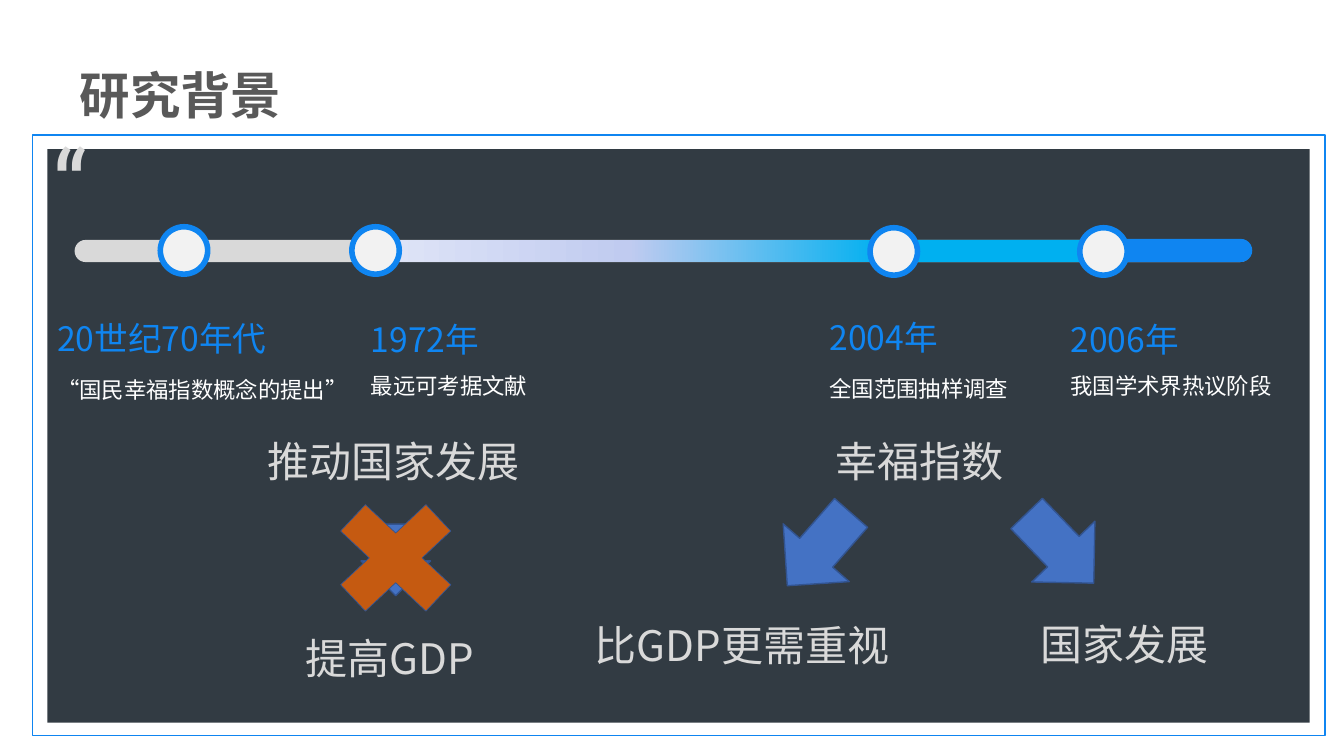
from copy import deepcopy

from pptx import Presentation
from pptx.dml.color import RGBColor
from pptx.enum.shapes import MSO_SHAPE
from pptx.enum.text import MSO_ANCHOR, MSO_AUTO_SIZE, PP_ALIGN
from pptx.oxml.ns import qn
from pptx.util import Inches, Pt

COLORS = {
    "panel": "323B43", "blue": "0F85F1", "cyan": "00B0F0", "grey": "D9D9D9",
    "dot": "F2F2F2", "title": "595959", "white": "FFFFFF", "arrow": "4472C4",
    "edge": "325491", "cross": "C55A11", "pale": "E0E5F7", "lilac": "C0CBF0",
}
CJK = "Noto Sans CJK SC"
LATIN = "Roboto Condensed"


def rgb(name):
    return RGBColor.from_string(COLORS[name])


def add_shape(page, kind, box, fill=None, line=None, weight=1, rotation=0):
    shape = page.shapes.add_shape(kind, *map(Inches, box))
    shape.shadow.inherit = False
    shape.rotation = rotation
    if fill:
        shape.fill.solid()
        shape.fill.fore_color.rgb = rgb(fill)
    else:
        shape.fill.background()
    if line:
        shape.line.color.rgb = rgb(line)
        shape.line.width = Pt(weight)
    else:
        shape.line.fill.background()
    return shape


def write_line(para, text, size, color, face=CJK, bold=False, **spacing):
    for name, value in spacing.items():
        setattr(para, name, value)
    span = para.add_run()
    span.text = text
    formats = {"size": Pt(size), "name": face, "bold": bold}
    for name, value in formats.items():
        setattr(span.font, name, value)
    span.font.color.rgb = rgb(color)
    # East Asian characters take the same face
    east_asian = deepcopy(span.font._element.find(qn("a:latin")))
    east_asian.tag = qn("a:ea")
    span.font._element.append(east_asian)


def set_frame(frame, margins=(0.1, 0.05)):
    side, top = map(Inches, margins)
    formats = {
        "word_wrap": True, "auto_size": MSO_AUTO_SIZE.SHAPE_TO_FIT_TEXT,
        "vertical_anchor": MSO_ANCHOR.TOP, "margin_left": side,
        "margin_right": side, "margin_top": top, "margin_bottom": top,
    }
    for name, value in formats.items():
        setattr(frame, name, value)
    return frame


def add_text_frame(page, box, **options):
    return set_frame(page.shapes.add_textbox(*map(Inches, box)).text_frame, **options)


def add_title(page, box):
    title = page.shapes.title
    for name, value in zip(("left", "top", "width", "height"), box):
        setattr(title, name, Inches(value))
    frame = set_frame(title.text_frame, (0.05, 0.03))
    write_line(frame.paragraphs[0], "研究背景", 36, "title", bold=True,
               line_spacing=1.5, alignment=PP_ALIGN.LEFT, space_before=Pt(0))


def add_panel(page, box):
    left, top, width, height = box
    add_shape(page, MSO_SHAPE.RECTANGLE, box, "panel")
    add_shape(page, MSO_SHAPE.RECTANGLE,
              (left - 0.15, top - 0.14, width + 0.3, height + 0.27), line="blue")
    quote = add_text_frame(page, (left, top - 0.3, 1.3, 1.3), margins=(0.05, 0.03))
    write_line(quote.paragraphs[0], "“", 74, "grey", LATIN)


def add_bar(page, left, top, width, height, fill):
    bar = add_shape(page, MSO_SHAPE.ROUNDED_RECTANGLE, (left, top, width, height), fill)
    bar.adjustments[0] = 0.5
    return bar


def fade(bar, names):
    """Left-to-right gradient through three colours."""
    bar.fill.gradient()
    bar.fill.gradient_angle = 0
    stops = bar._element.spPr.find(qn("a:gradFill")).find(qn("a:gsLst"))
    stops.insert(1, deepcopy(stops[0]))
    for index, name in enumerate(names):
        stop = bar.fill.gradient_stops[index]
        stop.position = index / 2
        stop.color.rgb = rgb(name)


def add_timeline(page, box):
    left, top, width, height = box
    # Track and its coloured stretches
    add_bar(page, left, top, width, height, "grey")
    add_bar(page, left + 8.26, top, 1.84, height, "cyan")
    fade(add_bar(page, left + 2.99, top, 5.03, height, "pale"),
         ("pale", "lilac", "cyan"))
    add_bar(page, left + 10.3, top - 0.01, 1.38, height + 0.01, "blue")

    # Dot x, dot y, label x, label y, label width, gap, date, event
    milestones = [
        (0.85, -0.13, -0.27, 0.52, 3.26, 3.5, "20世纪70年代", "“国民幸福指数概念的提出”"),
        (2.75, -0.13, 2.84, 0.53, 3.26, 0, "1972年", "最远可考据文献"),
        (7.89, -0.12, 7.39, 0.51, 3.26, 3.5, "2004年", "全国范围抽样调查"),
        (9.97, -0.12, 9.78, 0.53, 2.46, 0, "2006年", "我国学术界热议阶段"),
    ]
    for dot_x, dot_y, label_x, label_y, label_width, gap, date, event in milestones:
        add_shape(page, MSO_SHAPE.OVAL, (left + dot_x, top + dot_y, 0.47, 0.47),
                  "dot", "blue", 4)
        frame = add_text_frame(page, (left + label_x, top + label_y, label_width, 1.11))
        write_line(frame.paragraphs[0], date, 24, "blue", line_spacing=1.5)
        write_line(frame.add_paragraph(), event, 16, "white", line_spacing=1.5,
                   space_before=Pt(gap))


def add_phrases(page, left, top, phrases):
    for x, y, width, text in phrases:
        frame = add_text_frame(page, (left + x, top + y, width, 0.61))
        write_line(frame.paragraphs[0], text, 30, "grey")


def add_growth(page, left, top):
    add_phrases(page, left, top, [(0, 0, 2.75, "推动国家发展"),
                                  (0.38, 1.96, 1.99, "提高GDP")])
    add_shape(page, MSO_SHAPE.DOWN_ARROW, (left + 1.03, top + 0.93, 0.69, 0.71),
              "arrow", "edge")
    add_shape(page, MSO_SHAPE.MATH_MULTIPLY, (left + 0.56, top + 0.5, 1.63, 1.53),
              "cross", "edge", 0.5)


def add_happiness(page, left, top):
    add_phrases(page, left, top, [(2.39, 0, 1.97, "幸福指数"),
                                  (0, 1.83, 3.3, "比GDP更需重视"),
                                  (4.42, 1.82, 1.97, "国家发展")])
    for x, y, rotation in ((1.89, 0.7, 41.2), (4.28, 0.69, 316.1)):
        add_shape(page, MSO_SHAPE.DOWN_ARROW, (left + x, top + y, 0.87, 0.96),
                  "arrow", "edge", rotation=rotation)


def main():
    deck = Presentation()
    deck.slide_width, deck.slide_height = Inches(13.33), Inches(7.5)
    page = deck.slides.add_slide(deck.slide_layouts[5])
    add_title(page, (0.74, 0.31, 5.06, 0.86))
    add_panel(page, (0.47, 1.48, 12.52, 5.69))
    add_timeline(page, (0.74, 2.38, 11.67, 0.22))
    add_growth(page, 2.55, 4.27)
    add_happiness(page, 5.8, 4.27)
    deck.save("out.pptx")


if __name__ == "__main__":
    main()
